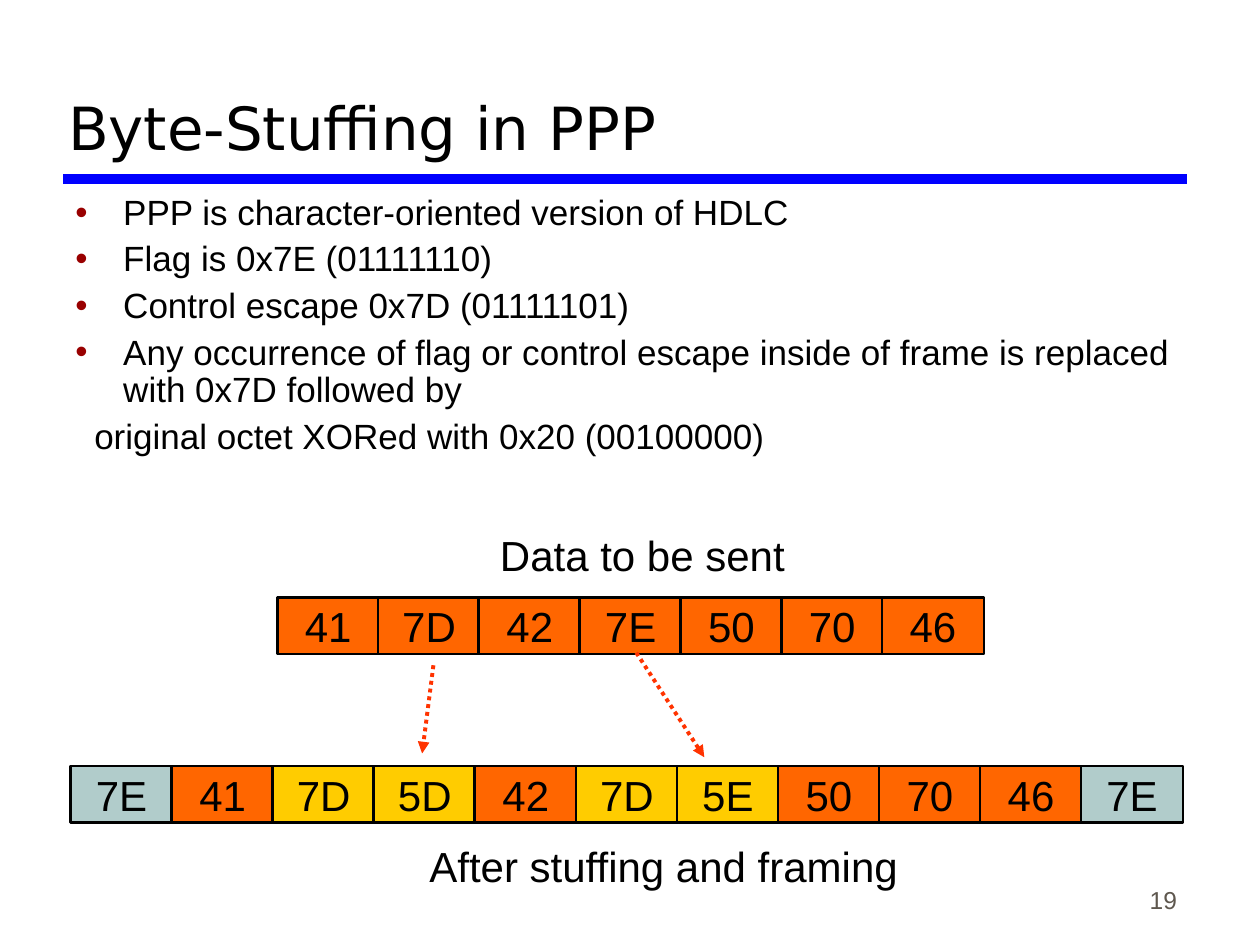
"""Build the slide on byte-stuffing in PPP."""
from dataclasses import dataclass

from lxml import etree
from pptx import Presentation
from pptx.dml.color import RGBColor
from pptx.enum.dml import MSO_LINE
from pptx.enum.shapes import MSO_CONNECTOR, MSO_SHAPE
from pptx.enum.text import MSO_ANCHOR, MSO_AUTO_SIZE, PP_ALIGN
from pptx.oxml.ns import qn
from pptx.util import Inches, Pt

RECTANGLE = MSO_SHAPE.RECTANGLE
STRAIGHT = MSO_CONNECTOR.STRAIGHT
DOTTED = MSO_LINE.ROUND_DOT
LEFT, CENTER, RIGHT = PP_ALIGN.LEFT, PP_ALIGN.CENTER, PP_ALIGN.RIGHT
MIDDLE, BOTTOM = MSO_ANCHOR.MIDDLE, MSO_ANCHOR.BOTTOM
NO_AUTO_SIZE = MSO_AUTO_SIZE.NONE


@dataclass(frozen=True)
class Theme:
    title_font: str = "DejaVu Sans"
    body_font: str = "Arial"
    title_size: int = 34
    diagram_size: int = 24
    body_size: int = 20
    number_size: int = 14
    text: str = "000000"
    number: str = "5E574E"
    rule: str = "0000FF"
    bullet: str = "990000"
    arrow: str = "FF3300"
    data: str = "FF6600"
    escape: str = "FFCC00"
    flag: str = "B1CCCB"


THEME = Theme()


def style_paragraph(paragraph, size, color=THEME.text, font=THEME.body_font, align=LEFT):
    paragraph.alignment = align
    for run in paragraph.runs:
        run.font.name = font
        run.font.size = Pt(size)
        run.font.color.rgb = RGBColor.from_string(color)


def add_line(slide, start, end, color, width):
    connector = slide.shapes.add_connector(STRAIGHT, *map(Inches, start + end))
    connector.line.color.rgb = RGBColor.from_string(color)
    connector.line.width = Pt(width)
    etree.SubElement(connector._element.spPr, qn("a:effectLst"))
    return connector


presentation = Presentation()
presentation.slide_width, presentation.slide_height = Inches(10), Inches(7.5)
slide = presentation.slides.add_slide(presentation.slide_layouts[5])

title = slide.shapes.title
title.left, title.top, title.width, title.height = map(Inches, (0.44, 0.17, 8.97, 1.17))
title.text_frame.text = "Byte-Stuffing in PPP"
title.text_frame.vertical_anchor = BOTTOM
title.text_frame.auto_size = NO_AUTO_SIZE
style_paragraph(title.text_frame.paragraphs[0], THEME.title_size, font=THEME.title_font)

add_line(slide, (0.5, 1.42), (9.42, 1.42), THEME.rule, 6)

points = [
    "PPP is character-oriented version of HDLC",
    "Flag is 0x7E (01111110)",
    "Control escape 0x7D (01111101)",
    "Any occurrence of flag or control escape inside of frame is replaced with 0x7D followed by",
    "original octet XORed with 0x20 (00100000)",
]
body = slide.shapes.add_textbox(Inches(0.5), Inches(1.5), Inches(8.94), Inches(2.48))
body.text_frame.word_wrap = True
body.text_frame.text = "\n".join(points)
for index, paragraph in enumerate(body.text_frame.paragraphs):
    properties = paragraph._p.get_or_add_pPr()
    if index < len(points) - 1:
        properties.set("marL", str(Inches(0.38)))
        properties.set("indent", str(-Inches(0.38)))
        bullet_color = etree.SubElement(properties, qn("a:buClr"))
        etree.SubElement(bullet_color, qn("a:srgbClr"), val=THEME.bullet)
        etree.SubElement(properties, qn("a:buFont"), typeface=THEME.body_font)
        etree.SubElement(properties, qn("a:buChar"), char="•")
    else:
        properties.set("marL", str(Inches(0.15)))
    paragraph.line_spacing = 0.9
    if index:
        paragraph.space_before = Pt(5)
    style_paragraph(paragraph, THEME.body_size)

for label, left, top, width in [
    ("Data to be sent", 3.87, 4.15, 2.46),
    ("After stuffing and framing", 3.31, 6.62, 3.92),
]:
    caption = slide.shapes.add_textbox(Inches(left), Inches(top), Inches(width), Inches(0.5))
    caption.text_frame.word_wrap = False
    caption.text_frame.text = label
    style_paragraph(caption.text_frame.paragraphs[0], THEME.diagram_size)

data_octets = [(octet, THEME.data) for octet in "41 7D 42 7E 50 70 46".split()]
escaped_octets = {"7D": ["7D", "5D"], "7E": ["7D", "5E"]}
framed_octets = [("7E", THEME.flag)]
for octet, color in data_octets:
    if octet in escaped_octets:
        framed_octets += [(part, THEME.escape) for part in escaped_octets[octet]]
    else:
        framed_octets.append((octet, color))
framed_octets.append(("7E", THEME.flag))

for octets, left, top, pitch in [
    (data_octets, 2.2, 4.74, 0.8),
    (framed_octets, 0.56, 6.08, 0.802),
]:
    for column, (octet, color) in enumerate(octets):
        cell = slide.shapes.add_shape(
            RECTANGLE, Inches(left + column * pitch), Inches(top), Inches(0.81), Inches(0.45)
        )
        cell.shadow.inherit = False
        cell.fill.solid()
        cell.fill.fore_color.rgb = RGBColor.from_string(color)
        cell.line.color.rgb = RGBColor.from_string(THEME.text)
        cell.line.width = Pt(1.5)
        cell.text_frame.text = octet
        cell.text_frame.word_wrap = False
        cell.text_frame.vertical_anchor = MIDDLE
        style_paragraph(cell.text_frame.paragraphs[0], THEME.diagram_size, align=CENTER)

for start, end in [((3.44, 5.28), (3.35, 5.98)), ((5.05, 5.18), (5.59, 6.01))]:
    arrow = add_line(slide, start, end, THEME.arrow, 2.25)
    arrow.line.dash_style = DOTTED
    etree.SubElement(arrow.line._get_or_add_ln(), qn("a:tailEnd"), type="triangle")

page_number = slide.shapes.add_textbox(Inches(7.36), Inches(6.81), Inches(2.08), Inches(0.5))
page_number.text_frame.word_wrap = True
page_number.text_frame.vertical_anchor = BOTTOM
page_number.text_frame.text = "19"
style_paragraph(page_number.text_frame.paragraphs[0], THEME.number_size, THEME.number, align=RIGHT)

presentation.save("out.pptx")
